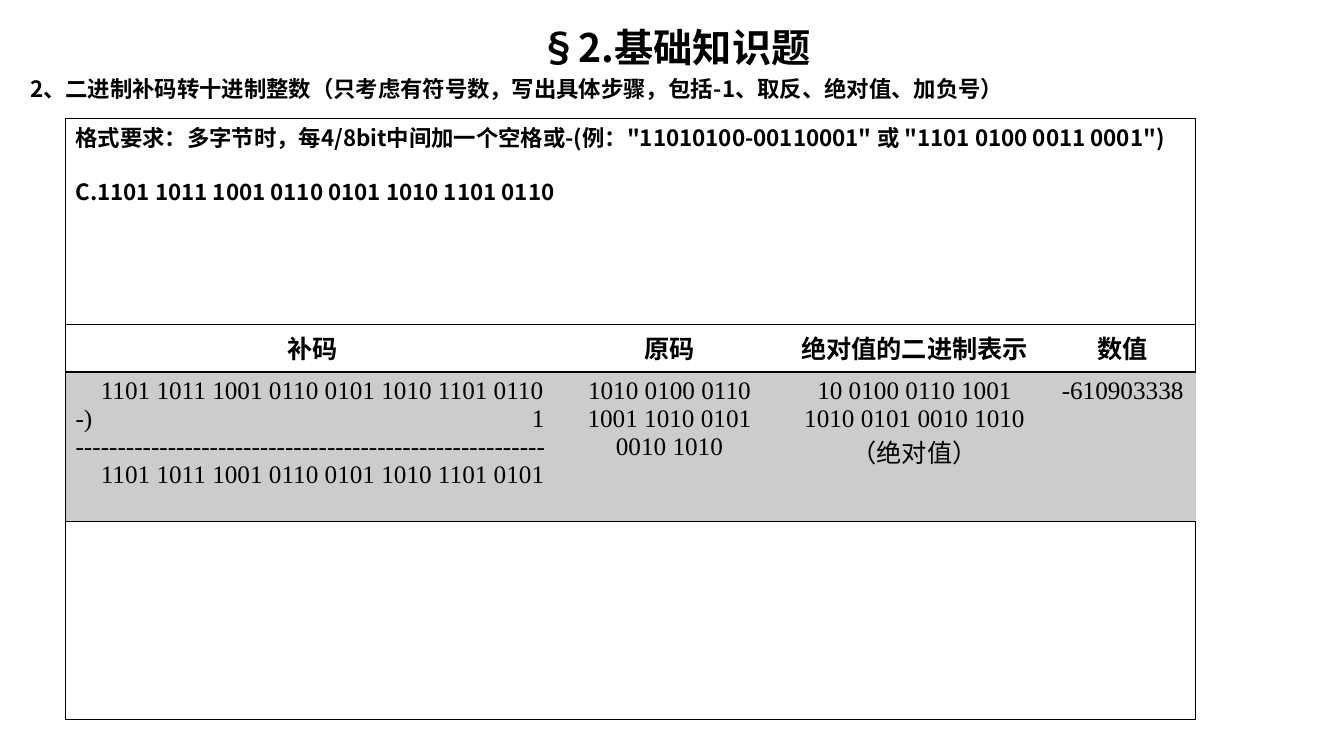
from pptx import Presentation
from pptx.dml.color import RGBColor
from pptx.enum.shapes import MSO_SHAPE
from pptx.enum.text import MSO_ANCHOR, PP_ALIGN
from pptx.oxml.ns import qn
from pptx.util import Inches, Pt
from lxml.etree import SubElement

BLACK = RGBColor(0x00, 0x00, 0x00)
GRAY = RGBColor(0xCC, 0xCC, 0xCC)
SANS, SERIF = "Noto Sans CJK SC", "Times New Roman"

# Content
TITLE = "§2.基础知识题"
QUESTION = "2、二进制补码转十进制整数（只考虑有符号数，写出具体步骤，包括-1、取反、绝对值、加负号）"
TASK = [
    '格式要求：多字节时，每4/8bit中间加一个空格或-(例："11010100-00110001" 或 "1101 0100 0011 0001")',
    "C.1101 1011 1001 0110 0101 1010 1101 0110",
]
HEADERS = ["补码", "原码", "绝对值的二进制表示", "数值"]
SUBTRACTION = [
    "1101 1011 1001 0110 0101 1010 1101 0110",
    "-)\t1",
    "-" * 56,
    "1101 1011 1001 0110 0101 1010 1101 0101",
]
RESULTS = [
    SUBTRACTION,
    ["1010 0100 0110 1001 1010 0101 0010 1010"],
    ["10 0100 0110 1001 1010 0101 0010 1010（绝对值）"],
    ["-610903338"],
]

# Layout in inches
SLIDE_W, SLIDE_H = 13.33, 7.5
LEFT, WIDTH = 0.65, 11.21
COLUMNS = [4.9, 2.18, 2.68, 1.45]
ROWS = [0.47, 1.48]
DIGIT_INDENT, DIGIT_RIGHT = 0.25, 4.65
LINE_HEIGHT = 1.21  # share of the font size


def style(p, size, font, bold, align=PP_ALIGN.LEFT):
    p.alignment = align
    for r in p.runs:
        r.font.size, r.font.bold, r.font.name = Pt(size), bold, font
        r.font.color.rgb = BLACK
        SubElement(r.font._element, qn("a:ea"), typeface=SANS)


def write(tf, lines, size, font, bold, align=PP_ALIGN.LEFT):
    for i, line in enumerate(lines):
        p = tf.paragraphs[0] if i == 0 else tf.add_paragraph()
        p.text = line
        style(p, size, font, bold, align)
    return tf.paragraphs


def set_borders(cell, sides):
    tcPr = cell._tc.get_or_add_tcPr()
    for side in "LRTB":
        ln = SubElement(tcPr, qn(f"a:ln{side}"), w=str(Pt(1)))
        if side in sides:
            fill = SubElement(ln, qn("a:solidFill"))
            SubElement(fill, qn("a:srgbClr"), val=str(BLACK))
        else:
            SubElement(ln, qn("a:noFill"))


def align_subtraction(paragraphs):
    for p in paragraphs:
        pPr = p._p.get_or_add_pPr()
        if p.text.startswith("1"):
            pPr.set("marL", str(Inches(DIGIT_INDENT)))
            pPr.set("indent", "0")
        elif "\t" in p.text:
            tabs = SubElement(pPr, qn("a:tabLst"))
            SubElement(tabs, qn("a:tab"), pos=str(Inches(DIGIT_RIGHT)), algn="r")


prs = Presentation()
prs.slide_width, prs.slide_height = Inches(SLIDE_W), Inches(SLIDE_H)
s = prs.slides.add_slide(prs.slide_layouts[6])

# Title and question
tf = s.shapes.add_textbox(Inches(0.2), Inches(0.18), Inches(12.99), Inches(0.9)).text_frame
tf.word_wrap = True
title, question = write(tf, [TITLE, QUESTION], 16, SANS, True)
title.alignment = PP_ALIGN.CENTER
title.runs[0].font.size = Pt(28)
title.line_spacing = Pt(28 * LINE_HEIGHT)
question.line_spacing = Pt(16 * LINE_HEIGHT)
question.space_before = Pt(3.2)

# Framed task
sp = s.shapes.add_shape(MSO_SHAPE.RECTANGLE, Inches(LEFT), Inches(1.18), Inches(WIDTH), Inches(5.96))
sp.shadow.inherit = False
sp.fill.background()
sp.line.color.rgb, sp.line.width = BLACK, Pt(0.75)
tf = sp.text_frame
tf.word_wrap, tf.vertical_anchor = True, MSO_ANCHOR.TOP
paragraphs = write(tf, TASK, 16, SANS, True)
for p in paragraphs:
    p.line_spacing = Pt(16 * LINE_HEIGHT)
paragraphs[1].space_before = Pt(16 * LINE_HEIGHT)

# Conversion table
table = s.shapes.add_table(2, len(COLUMNS), Inches(LEFT), Inches(3.22),
                           Inches(WIDTH), Inches(sum(ROWS))).table
table.horz_banding = False
for row, height in zip(table.rows, ROWS):
    row.height = Inches(height)
for c, width in enumerate(COLUMNS):
    table.columns[c].width = Inches(width)
    head, body = table.cell(0, c), table.cell(1, c)
    set_borders(head, "TB")
    head.fill.background()
    write(head.text_frame, [HEADERS[c]], 18, SERIF, True, PP_ALIGN.CENTER)
    set_borders(body, "TB")
    body.fill.solid()
    body.fill.fore_color.rgb = GRAY
    align = PP_ALIGN.CENTER if c else PP_ALIGN.LEFT
    write(body.text_frame, RESULTS[c], 18, SERIF, False, align)
align_subtraction(table.cell(1, 0).text_frame.paragraphs)

prs.save("out.pptx")
